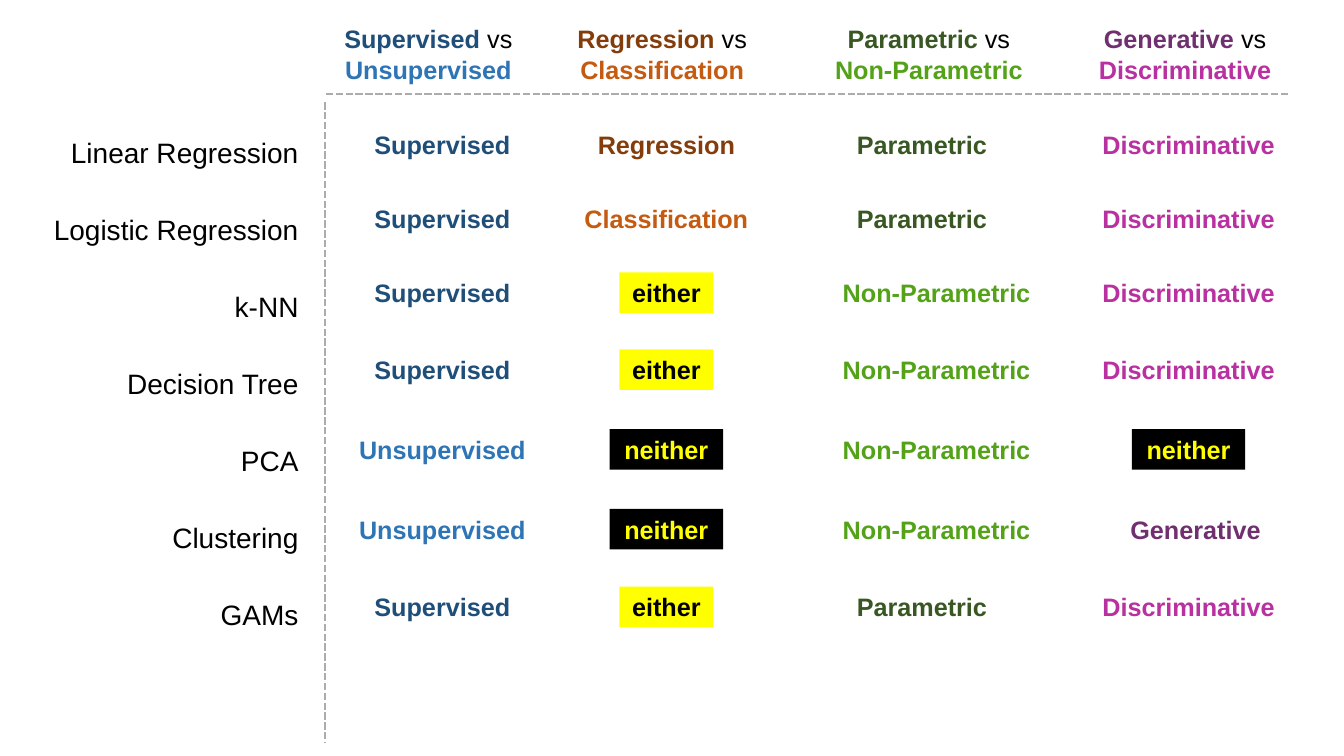
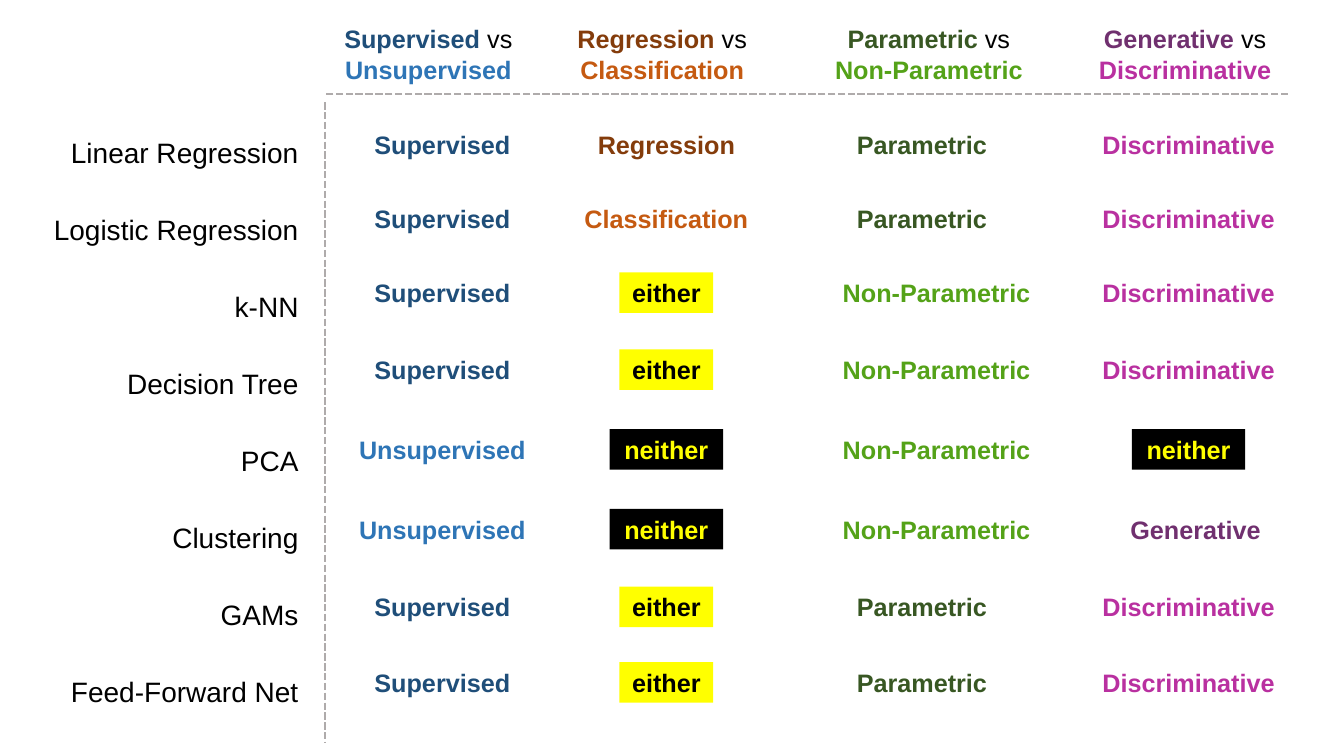
from dataclasses import dataclass
from typing import Optional

from lxml.etree import SubElement
from pptx import Presentation
from pptx.dml.color import RGBColor
from pptx.enum.dml import MSO_LINE
from pptx.enum.shapes import MSO_CONNECTOR, MSO_SHAPE
from pptx.enum.text import MSO_ANCHOR, MSO_AUTO_SIZE, PP_ALIGN
from pptx.oxml.ns import qn
from pptx.util import Pt

BLACK = RGBColor(0x00, 0x00, 0x00)
YELLOW = RGBColor(0xFF, 0xFF, 0x00)
GRAY = RGBColor(0xAF, 0xAB, 0xAB)
DARK_BLUE = RGBColor(0x1F, 0x4E, 0x79)
BLUE = RGBColor(0x2E, 0x75, 0xB6)
BROWN = RGBColor(0x84, 0x3C, 0x0B)
ORANGE = RGBColor(0xC5, 0x5A, 0x11)
DARK_GREEN = RGBColor(0x38, 0x57, 0x23)
GREEN = RGBColor(0x54, 0xA2, 0x18)
PURPLE = RGBColor(0x70, 0x30, 0x6F)
MAGENTA = RGBColor(0xB9, 0x30, 0xA0)

FONT = "Arial"
LABEL_SIZE = 18
MODEL_SIZE = 20
MODEL_PITCH = 55
LABEL_HEIGHT = 29
HEADER_TOP = 13.3
HEADER_HEIGHT = 51


@dataclass
class LabelStyle:
    width: float
    color: RGBColor
    fill: Optional[RGBColor] = None
    shift: float = 0


@dataclass
class Column:
    first: str
    second: str
    header_left: float
    header_width: float
    center: float


LABEL_STYLES = {
    "Supervised": LabelStyle(118, DARK_BLUE),
    "Unsupervised": LabelStyle(140, BLUE),
    "Regression": LabelStyle(118, BROWN),
    "Classification": LabelStyle(138, ORANGE),
    "Parametric": LabelStyle(114, DARK_GREEN, shift=-10.5),
    "Non-Parametric": LabelStyle(156, GREEN),
    "Generative": LabelStyle(116, PURPLE, shift=5),
    "Discriminative": LabelStyle(146, MAGENTA),
    "either": LabelStyle(67, BLACK, YELLOW),
    "neither": LabelStyle(81, YELLOW, BLACK),
}

COLUMNS = [
    Column("Supervised", "Unsupervised", 232, 148, 316),
    Column("Regression", "Classification", 391, 164, 476),
    Column("Parametric", "Non-Parametric", 565, 197, 669),
    Column("Generative", "Discriminative", 772.5, 148, 849),
]

MODELS = [
    ("Linear Regression", 88.5,
     ("Supervised", "Regression", "Parametric", "Discriminative")),
    ("Logistic Regression", 141.5,
     ("Supervised", "Classification", "Parametric", "Discriminative")),
    ("k-NN", 194.5,
     ("Supervised", "either", "Non-Parametric", "Discriminative")),
    ("Decision Tree", 249.5,
     ("Supervised", "either", "Non-Parametric", "Discriminative")),
    ("PCA", 306.5,
     ("Unsupervised", "neither", "Non-Parametric", "neither")),
    ("Clustering", 363.5,
     ("Unsupervised", "neither", "Non-Parametric", "Generative")),
    ("GAMs", 419,
     ("Supervised", "either", "Parametric", "Discriminative")),
    ("Feed-Forward Net", 473,
     ("Supervised", "either", "Parametric", "Discriminative")),
]


def format_font(font, size, color, bold=False):
    font.name = FONT
    font.size = Pt(size)
    font.bold = bold
    font.color.rgb = color


def add_dashed_line(slide, left, top, right, bottom):
    line = slide.shapes.add_connector(
        MSO_CONNECTOR.STRAIGHT, Pt(left), Pt(top), Pt(right), Pt(bottom))
    line.line.color.rgb = GRAY
    line.line.width = Pt(1.75)
    line.line.dash_style = MSO_LINE.SQUARE_DOT
    SubElement(line.element.spPr, qn("a:effectLst"))


def add_header(slide, column):
    box = slide.shapes.add_textbox(
        Pt(column.header_left), Pt(HEADER_TOP), Pt(column.header_width), Pt(HEADER_HEIGHT))
    text_frame = box.text_frame
    text_frame.word_wrap = True
    text_frame.text = f"{column.first} \n{column.second}"
    upper, lower = text_frame.paragraphs
    versus = upper.add_run()
    versus.text = "vs"
    format_font(upper.runs[0].font, LABEL_SIZE, LABEL_STYLES[column.first].color, True)
    format_font(versus.font, LABEL_SIZE, BLACK)
    format_font(lower.runs[0].font, LABEL_SIZE, LABEL_STYLES[column.second].color, True)
    for paragraph in text_frame.paragraphs:
        paragraph.alignment = PP_ALIGN.CENTER


def add_label(slide, text, center, top):
    style = LABEL_STYLES[text]
    left = center + style.shift - style.width / 2
    bounds = Pt(left), Pt(top), Pt(style.width), Pt(LABEL_HEIGHT)
    if style.fill is None:
        shape = slide.shapes.add_textbox(*bounds)
    else:
        shape = slide.shapes.add_shape(MSO_SHAPE.RECTANGLE, *bounds)
        shape.shadow.inherit = False
        shape.fill.solid()
        shape.fill.fore_color.rgb = style.fill
        shape.line.fill.background()
    text_frame = shape.text_frame
    text_frame.word_wrap = False
    text_frame.vertical_anchor = MSO_ANCHOR.TOP
    text_frame.text = text
    paragraph = text_frame.paragraphs[0]
    paragraph.alignment = PP_ALIGN.CENTER
    format_font(paragraph.runs[0].font, LABEL_SIZE, style.color, True)


def fill_model_list(slide, names):
    body = slide.placeholders[1]
    body.left, body.top = Pt(24.5), Pt(62.5)
    body.width, body.height = Pt(196), Pt(MODEL_PITCH * len(names) + 3)
    text_frame = body.text_frame
    text_frame.word_wrap = True
    text_frame.auto_size = MSO_AUTO_SIZE.NONE
    text_frame.vertical_anchor = MSO_ANCHOR.TOP
    text_frame.text = "\n".join(names)
    for paragraph in text_frame.paragraphs:
        properties = paragraph._p.get_or_add_pPr()
        properties.set("marL", "0")
        properties.set("indent", "0")
        SubElement(properties, qn("a:buNone"))
        paragraph.alignment = PP_ALIGN.RIGHT
        paragraph.line_spacing = Pt(MODEL_PITCH)
        paragraph.space_before = Pt(0)
        format_font(paragraph.runs[0].font, MODEL_SIZE, BLACK)


def add_comparison_slide(presentation, models):
    slide = presentation.slides.add_slide(presentation.slide_layouts[1])
    title = slide.shapes.title.element
    title.getparent().remove(title)
    fill_model_list(slide, [name for name, _, _ in models])
    add_dashed_line(slide, 232, 73, 232, 530)
    add_dashed_line(slide, 920, 67, 232, 67)
    for column in COLUMNS:
        add_header(slide, column)
    for _, top, labels in models:
        for column, label in zip(COLUMNS, labels):
            add_label(slide, label, column.center, top)


def main():
    presentation = Presentation()
    presentation.slide_width = Pt(960)
    presentation.slide_height = Pt(540)
    for model_count in (7, 8):
        add_comparison_slide(presentation, MODELS[:model_count])
    presentation.save("out.pptx")


if __name__ == "__main__":
    main()
